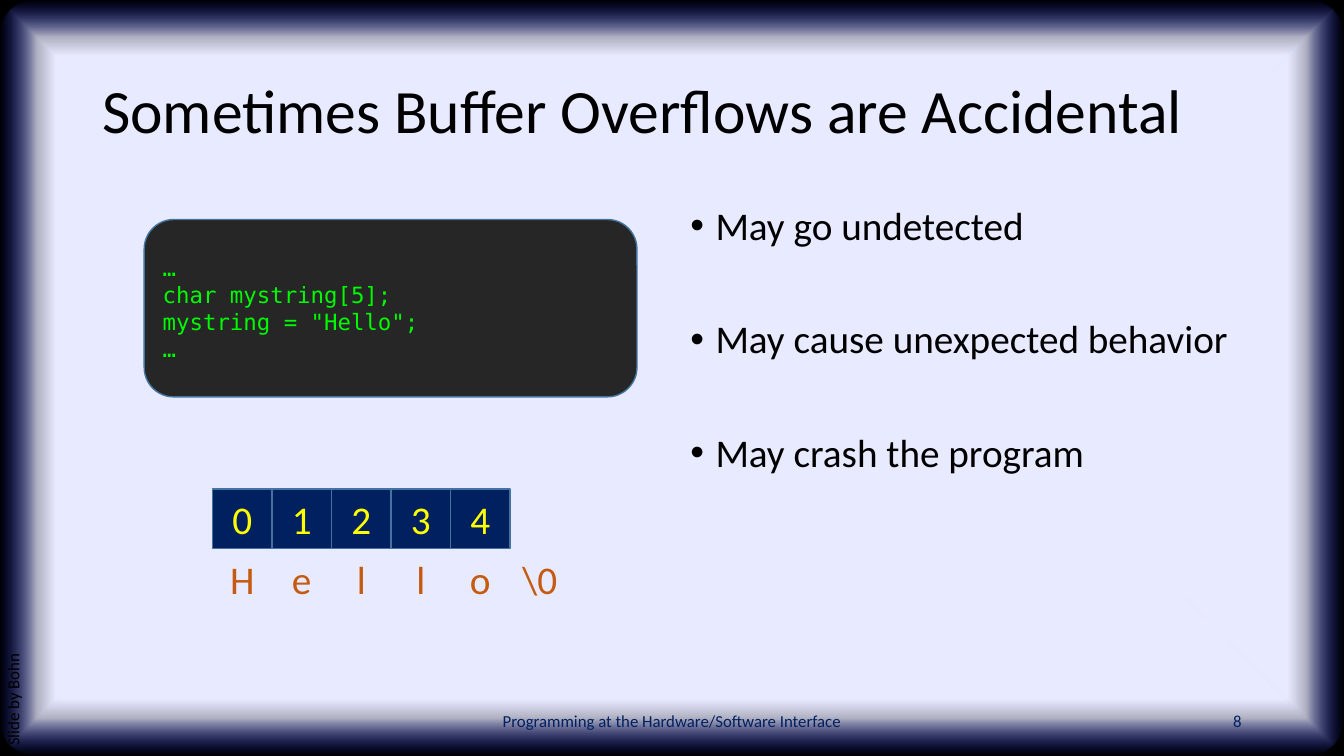
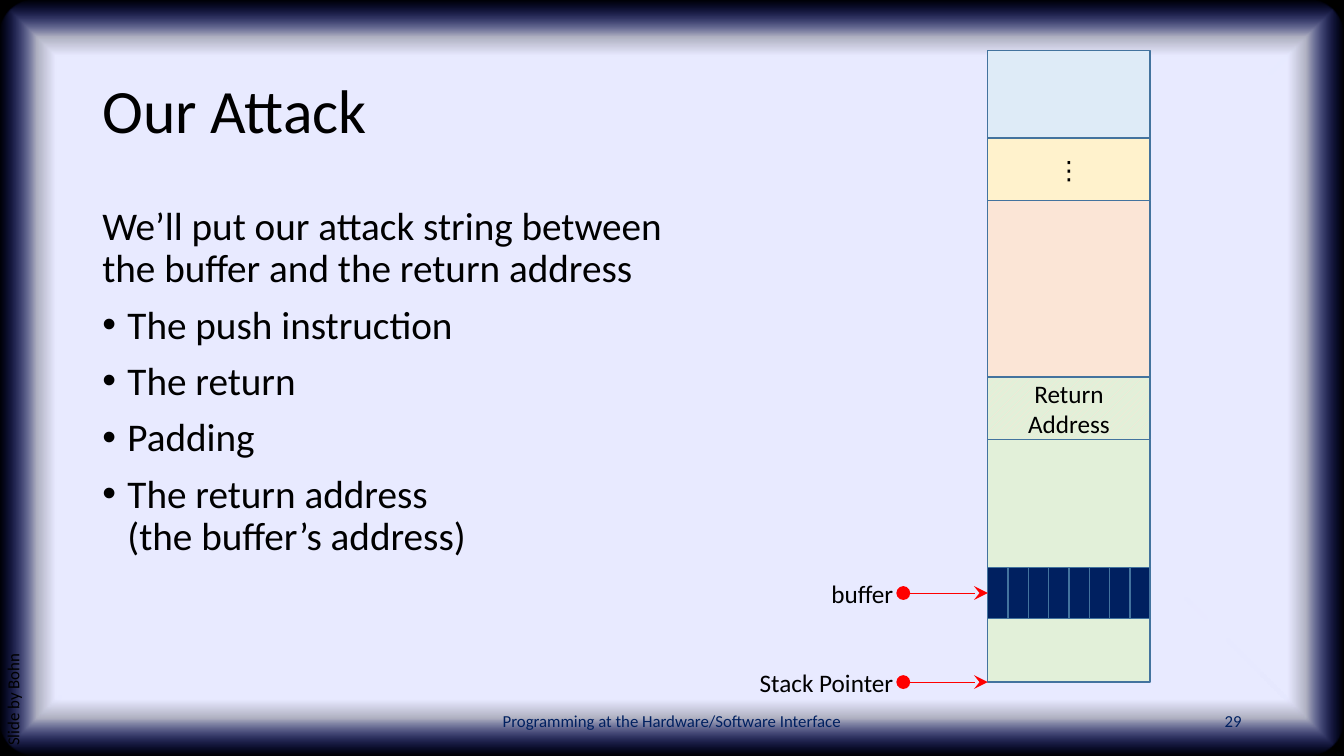
import pptx
import pptx.dml.color
import pptx.enum.dml
import pptx.enum.shapes
import pptx.enum.text
import pptx.oxml
import pptx.oxml.ns
import pptx.util
from lxml import etree

Pt = pptx.util.Pt
ALIGN = pptx.enum.text.PP_ALIGN
ANCHOR = pptx.enum.text.MSO_ANCHOR
SHAPE = pptx.enum.shapes.MSO_SHAPE

WIDTH, HEIGHT = 960, 540
BODY_FONT, CODE_FONT = "Calibri", "DejaVu Sans Mono"
BLACK, NAVY, OUTLINE = "000000", "002060", "43739E"
YELLOW, ORANGE, RED = "FFFF00", "C55A11", "FF0000"
CODE_BACK, CODE_GREEN = "262626", "00FA00"
PALE_BLUE, PALE_YELLOW, PALE_ORANGE, PALE_GREEN = "DEEBF7", "FFF2CC", "FBE5D6", "E2F0D9"

FOOTER = "Programming at the Hardware/Software Interface"
CREDIT = "Slide by Bohn"
BODY_TOP, BODY_HEIGHT = 144, 342.7

# Gradient stops: position, colour, opacity, all in percent
PANEL_STOPS = [(85, "E8EAFF", 100), (90, "E8EAFF", 75), (100, "162AFF", 0)]


def color(hex_string):
    return pptx.dml.color.RGBColor.from_string(hex_string)


def add_xml(parent, tag, **attributes):
    element = etree.SubElement(parent, pptx.oxml.ns.qn(tag))
    for name, value in attributes.items():
        element.set(name, str(value))
    return element


def write(shape, lines, size, text_color=BLACK, font=BODY_FONT, align=ALIGN.LEFT,
          anchor=ANCHOR.MIDDLE, line_spacing=None):
    """Write one paragraph per line and return the paragraphs."""
    frame = shape.text_frame
    frame.word_wrap = True
    frame.vertical_anchor = anchor
    frame.text = lines[0]
    for line in lines[1:]:
        frame.add_paragraph().text = line
    for paragraph in frame.paragraphs:
        paragraph.alignment = align
        if line_spacing:
            paragraph.line_spacing = line_spacing
        for run in paragraph.runs:
            run.font.size = Pt(size)
            run.font.name = font
            run.font.color.rgb = color(text_color)
    return frame.paragraphs


def add_text(slide, box, lines, size, **style):
    shape = slide.shapes.add_textbox(*map(Pt, box))
    write(shape, lines, size, **style)
    return shape


def add_box(slide, box, fill, kind=SHAPE.RECTANGLE):
    shape = slide.shapes.add_shape(kind, *map(Pt, box))
    shape.shadow.inherit = False
    shape.fill.solid()
    shape.fill.fore_color.rgb = color(fill)
    shape.line.color.rgb = color(OUTLINE)
    shape.line.width = Pt(1)
    return shape


def add_body(slide, left, width, lines, bullet_from=0, gap=10):
    """Add body text whose lines are bulleted from the given index on."""
    shape = slide.shapes.add_textbox(*map(Pt, (left, BODY_TOP, width, BODY_HEIGHT)))
    paragraphs = write(shape, lines, 28, anchor=ANCHOR.TOP, line_spacing=0.9)
    for index, paragraph in enumerate(paragraphs):
        if index:
            paragraph.space_before = Pt(gap)
        if index >= bullet_from:
            properties = paragraph._p.get_or_add_pPr()
            properties.set("marL", str(Pt(18)))
            properties.set("indent", str(Pt(-18)))
            add_xml(properties, "a:buFont", typeface="Arial")
            add_xml(properties, "a:buChar", char="•")


def add_panel(slide):
    """Add the pale panel that fades to the black background at its edges."""
    panel = add_box(slide, (0, 0, WIDTH, HEIGHT), BLACK, SHAPE.ROUNDED_RECTANGLE)
    panel.adjustments[0] = 0.05
    panel.line.fill.background()
    solid = panel._element.spPr.find(pptx.oxml.ns.qn("a:solidFill"))
    gradient = etree.Element(pptx.oxml.ns.qn("a:gradFill"), rotWithShape="1")
    stops = add_xml(gradient, "a:gsLst")
    for position, stop_color, opacity in PANEL_STOPS:
        stop = add_xml(stops, "a:gs", pos=position * 1000)
        shade = add_xml(stop, "a:srgbClr", val=stop_color)
        if opacity < 100:
            add_xml(shade, "a:alpha", val=opacity * 1000)
    shape_path = add_xml(gradient, "a:path", path="shape")
    add_xml(shape_path, "a:fillToRect", l=50000, t=50000, r=50000, b=50000)
    solid.getparent().replace(solid, gradient)


def start_slide(presentation, title, number):
    """Add a slide with everything that the slides share."""
    slide = presentation.slides.add_slide(presentation.slide_layouts[6])
    slide.background.fill.solid()
    slide.background.fill.fore_color.rgb = color(BLACK)
    add_panel(slide)
    add_text(slide, (66, 28.8, 828, 104.4), [title], 44, line_spacing=0.9)
    add_text(slide, (318, 500.5, 324, 28.8), [FOOTER], 12, text_color=NAVY, align=ALIGN.CENTER)
    add_text(slide, (678, 500.5, 216, 28.8), [number], 12, text_color=NAVY, align=ALIGN.RIGHT)
    credit = add_text(slide, (-175.7, 335.5, 380, 28.8), [CREDIT], 12,
                      anchor=ANCHOR.TOP, line_spacing=0.9)
    credit.rotation = 270
    return slide


def add_pointer(slide, text, target_x, y):
    """Add a label and an arrow from it to the target; return the arrow."""
    width, height, label_left = 111, 28.8, 534.2
    label = add_text(slide, (label_left, y - height / 2, width, height), [text], 18,
                     align=ALIGN.RIGHT)
    label.text_frame.margin_left = 0
    arrow = slide.shapes.add_connector(
        pptx.enum.shapes.MSO_CONNECTOR.STRAIGHT,
        Pt(label_left + width), Pt(y), Pt(target_x), Pt(y))
    arrow.begin_connect(label, 3)
    arrow.line.color.rgb = color(RED)
    arrow.line.width = Pt(0.5)
    line = arrow.line._get_or_add_ln()
    add_xml(line, "a:headEnd", type="oval", w="lg", len="lg")
    add_xml(line, "a:tailEnd", type="stealth", w="lg", len="lg")
    add_xml(arrow._element.spPr, "a:effectLst")
    return arrow


def build_accidental(presentation):
    slide = start_slide(presentation, "Sometimes Buffer Overflows are Accidental", "8")
    add_body(slide, 486, 408,
             ["May go undetected", "May cause unexpected behavior", "May crash the program"],
             gap=50.7)
    code = add_box(slide, (103, 156.8, 352, 126.7), CODE_BACK, SHAPE.ROUNDED_RECTANGLE)
    write(code, ["…", "char mystring[5];", 'mystring = "Hello";', "…"], 16,
          text_color=CODE_GREEN, font=CODE_FONT)

    left, top, side = 151.8, 349.4, 42.5
    for index in range(5):
        cell = add_box(slide, (left + index * side, top, side, side), NAVY)
        write(cell, [str(index)], 28, text_color=YELLOW, align=ALIGN.CENTER)
    for index, character in enumerate([*"Hello", "\\0"]):
        add_text(slide, (left + index * side, top + side, side, side), [character], 28,
                 text_color=ORANGE, align=ALIGN.CENTER)


def build_attack(presentation):
    slide = start_slide(presentation, "Our Attack", "29")
    add_body(slide, 66, 427,
             ["We’ll put our attack string between the buffer and the return address",
              "The push instruction", "The return", "Padding",
              "The return address\v(the buffer’s address)"],
             bullet_from=1)

    left, width, top = 705.6, 116, 36
    return_address = "Return Address"
    for height, fill, text in [(62.6, PALE_BLUE, ""), (44.7, PALE_YELLOW, "⋮"),
                               (126, PALE_ORANGE, ""), (44.6, PALE_GREEN, return_address),
                               (173.3, PALE_GREEN, "")]:
        section = add_box(slide, (left, top, width, height), fill)
        if text:
            write(section, [text], 18, align=ALIGN.CENTER)
        if text == return_address:
            section.fill.patterned()
            section.fill.pattern = pptx.enum.dml.MSO_PATTERN.WIDE_UPWARD_DIAGONAL
            section.fill.fore_color.rgb = color(PALE_ORANGE)
            section.fill.back_color.rgb = color(PALE_GREEN)
        top += height
    add_pointer(slide, "Stack Pointer", left, top)

    buffer_top, buffer_height, count = 405.3, 36.6, 8
    cell_width = width / count
    cells = [add_box(slide, (left + index * cell_width, buffer_top, cell_width, buffer_height),
                     NAVY) for index in range(count)]
    arrow = add_pointer(slide, "buffer", left, buffer_top + buffer_height / 2)
    arrow.end_connect(cells[0], 1)


def main():
    presentation = pptx.Presentation()
    presentation.slide_width = Pt(WIDTH)
    presentation.slide_height = Pt(HEIGHT)
    build_accidental(presentation)
    build_attack(presentation)
    presentation.save("out.pptx")


if __name__ == "__main__":
    main()
